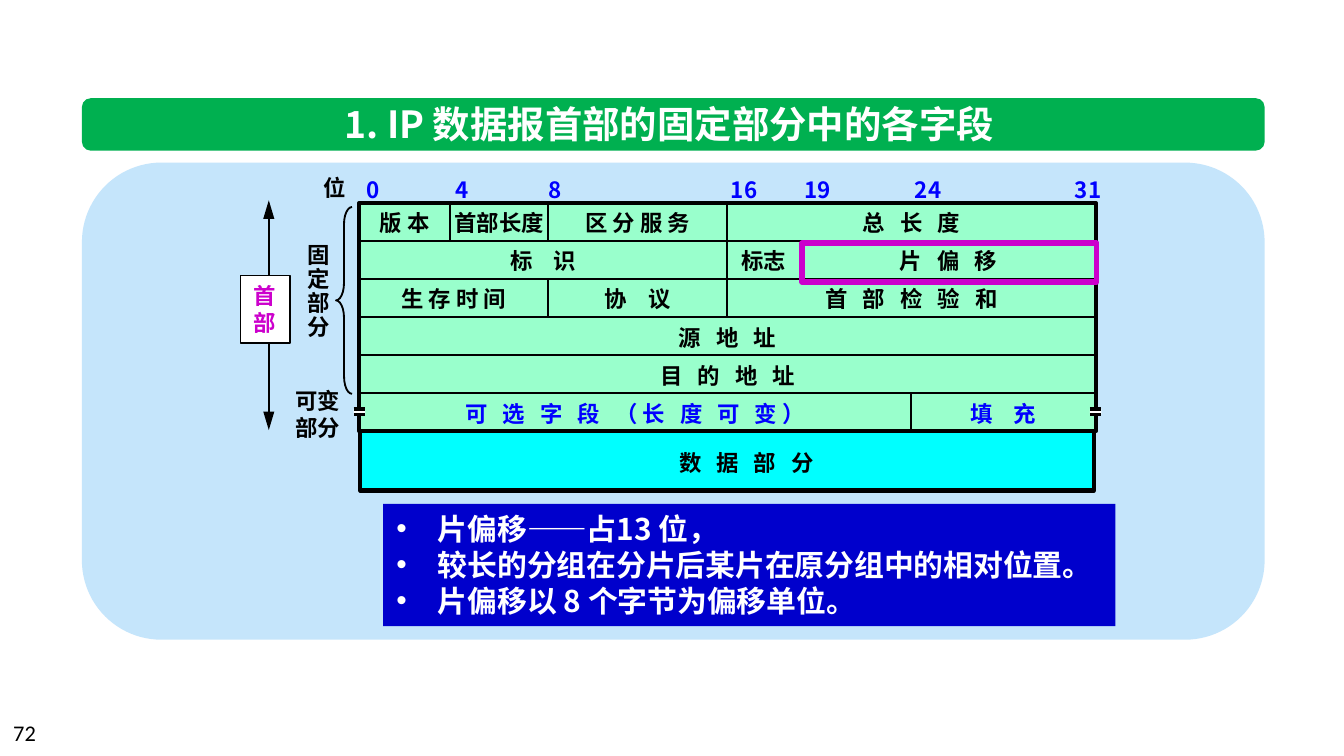
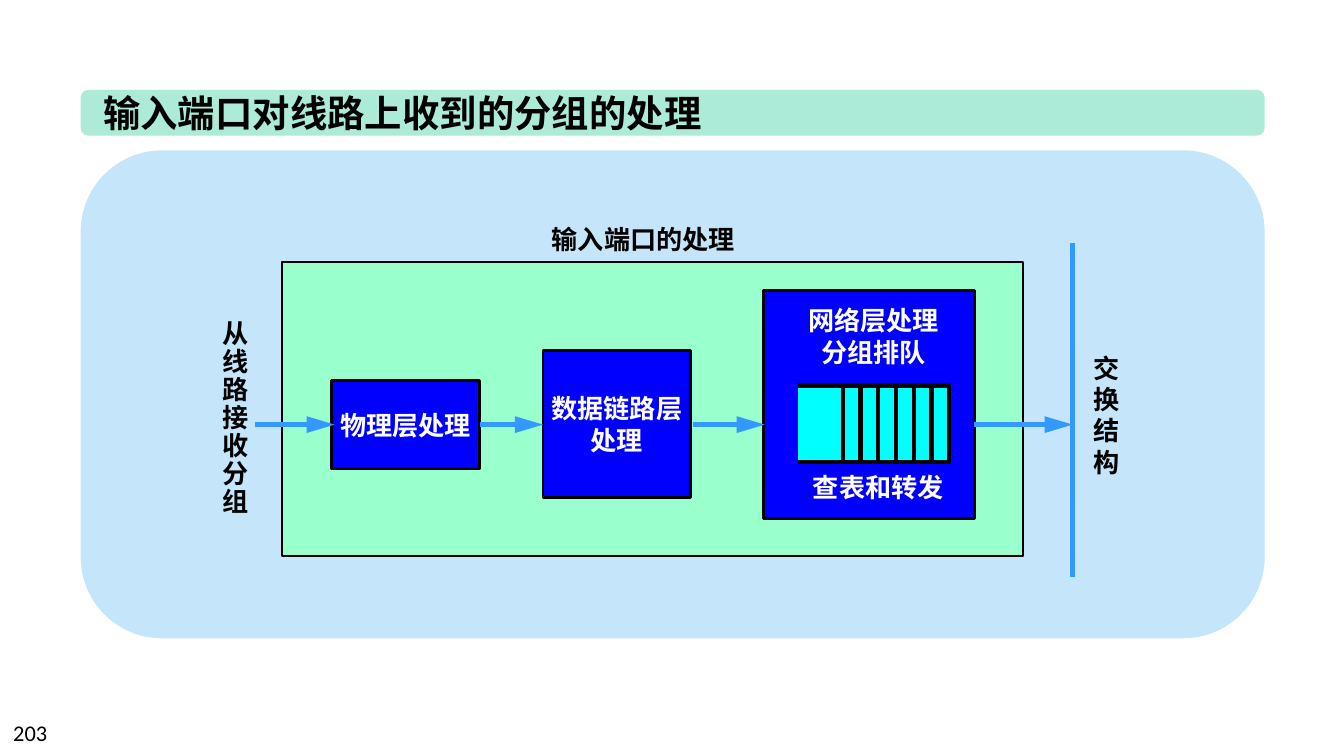
from dataclasses import dataclass

from lxml.etree import SubElement
from pptx import Presentation
from pptx.dml.color import RGBColor as RGB
from pptx.enum.shapes import MSO_CONNECTOR as Connector, MSO_SHAPE as Preset
from pptx.enum.text import MSO_ANCHOR as Anchor, MSO_AUTO_SIZE as AutoSize, PP_ALIGN as Align
from pptx.oxml.ns import qn
from pptx.util import Pt


@dataclass(frozen=True)
class Theme:
    font: str = "Noto Sans CJK SC"
    number_font: str = "Calibri"
    black: str = "000000"
    white: str = "FFFFFF"
    title_green: str = "00B050"
    title_mint: str = "ABEBD7"
    panel: str = "C5E5FB"
    mint: str = "99FFCC"
    cyan: str = "00FFFF"
    blue: str = "0000FF"
    navy: str = "0000CC"
    magenta: str = "CC00CC"
    flow: str = "3399FF"
    title: int = 20
    note: int = 16
    step: int = 14
    field: int = 12
    leading: float = 1.2
    stacked: float = 1.07


THEME = Theme()


class Deck:
    def __init__(self, theme):
        self.theme = theme
        self.prs = Presentation()
        self.prs.slide_width, self.prs.slide_height = Pt(720), Pt(405)
        self.shapes = None

    def new_slide(self, number):
        self.shapes = self.prs.slides.add_slide(self.prs.slide_layouts[6]).shapes
        self.label(0, 381.6, 168, 21.6, str(number), bold=False,
                   font=self.theme.number_font)

    def paint(self, shape, fill, line, weight):
        shape.shadow.inherit = False
        if fill:
            shape.fill.solid()
            shape.fill.fore_color.rgb = RGB.from_string(fill)
        else:
            shape.fill.background()
        if line:
            shape.line.color.rgb = RGB.from_string(line)
            shape.line.width = Pt(weight)
        else:
            shape.line.fill.background()
        return shape

    def box(self, x, y, w, h, fill=None, line=None, weight=1, preset=Preset.RECTANGLE):
        shape = self.shapes.add_shape(preset, Pt(x), Pt(y), Pt(w), Pt(h))
        return self.paint(shape, fill, line, weight)

    def panel(self, x, y, w, h, fill):
        return self.box(x, y, w, h, fill, preset=Preset.ROUNDED_RECTANGLE)

    def open_box(self, x, y, w, h, fill, line, weight):
        """Filled box without an outline on its left side."""
        outline = self.shapes.build_freeform(Pt(x), Pt(y))
        corners = [(x + w, y), (x + w, y + h), (x, y + h)]
        outline.add_line_segments([(Pt(a), Pt(b)) for a, b in corners], close=False)
        return self.paint(outline.convert_to_shape(), fill, line, weight)

    def line(self, x1, y1, x2, y2, color=THEME.black, weight=1, heads=()):
        """heads: any of "headEnd" and "tailEnd", in that order."""
        link = self.shapes.add_connector(Connector.STRAIGHT, Pt(x1), Pt(y1), Pt(x2), Pt(y2))
        link.line.color.rgb = RGB.from_string(color)
        link.line.width = Pt(weight)
        properties = link._element.spPr
        for head in heads:
            SubElement(properties.get_or_add_ln(), qn(f"a:{head}"),
                       type="triangle", w="med", len="lg")
        SubElement(properties, qn("a:effectLst"))

    def label(self, x, y, w, h, text, **style):
        holder = self.shapes.add_textbox(Pt(x), Pt(y), Pt(w), Pt(h))
        self.set_text(holder, text, **style)

    def set_text(self, shape, text, size=THEME.field, color=THEME.black, align=Align.LEFT,
                 anchor=Anchor.TOP, bold=True, font=THEME.font, leading=THEME.leading,
                 tracking=0, bullet=False):
        frame = shape.text_frame
        frame.word_wrap = False
        frame.auto_size = AutoSize.NONE
        frame.vertical_anchor = anchor
        frame.text = text
        for paragraph in frame.paragraphs:
            paragraph.alignment = align
            paragraph.line_spacing = Pt(round(size * leading, 1))
            props = paragraph._p.get_or_add_pPr()
            if bullet:
                props.set("marL", str(Pt(22.3)))
                props.set("indent", str(-Pt(22.3)))
                SubElement(props, qn("a:buFont"), typeface="Arial")
                SubElement(props, qn("a:buChar"), char="•")
            style = paragraph.font
            style.size, style.bold, style.name = Pt(size), bold, font
            style.color.rgb = RGB.from_string(color)
            SubElement(props.find(qn("a:defRPr")), qn("a:ea"), typeface=font)
            if tracking:
                for run in paragraph.runs:
                    run._r.get_or_add_rPr().set("spc", str(round(tracking * 100)))


def text_width(text, tracking):
    """Estimated width of a field name with the side insets of its box."""
    glyphs = sum(3 if char == " " else THEME.field for char in text)
    return glyphs + tracking * len(text) + 14.4


def header_fields_slide(deck):
    t = deck.theme
    deck.new_slide(72)
    deck.panel(43.9, 52.6, 633.6, 28.1, t.title_green)
    deck.label(170.6, 50.5, 376, 31.7, "1. IP 数据报首部的固定部分中的各字段",
               size=t.title, color=t.white, align=Align.CENTER)
    deck.panel(43.9, 87.1, 633.6, 255.6, t.panel)

    top, row_height, rows = 108.7, 20.4, 6
    bottom = top + row_height * rows
    # bit number: (left edge of the field, left of the bit label)
    bits = {0: (192.5, 189.4), 4: (241.2, 236.9), 8: (293.8, 286.6), 16: (389.5, 384.5),
            19: (429.1, 424.1), 24: (488.2, 483.1), 31: (587.2, 568.8)}
    edges = {bit: edge for bit, (edge, _) in bits.items()}
    left, right = edges[0], edges[31]
    deck.box(left, top, right - left, bottom - top, t.mint, t.black, 2)
    deck.box(193, bottom, 393.1, 31.7, t.cyan, t.black, 2.25)
    for row in range(1, rows):
        deck.line(left, top + row * row_height, right, top + row * row_height)

    for bit, (_, label_left) in bits.items():
        deck.label(label_left, 90.7, 14.4 + 7.2 * len(str(bit)), 21.6, str(bit), color=t.blue)
    deck.label(166.3, 90, 26.6, 21.6, "位")

    edges["padding"] = 488.2
    wide, wider = 2.7, 4.2
    fields = [
        (0, 0, 4, "版 本", 0), (0, 4, 8, "首部长度", 0),
        (0, 8, 16, "区 分 服 务", 0), (0, 16, 31, "总 长 度", wide),
        (1, 0, 16, "标 识", wider), (1, 16, 19, "标志", 0), (1, 19, 31, "片 偏 移", wide),
        (2, 0, 8, "生 存 时 间", 0), (2, 8, 16, "协 议", wider),
        (2, 16, 31, "首 部 检 验 和", wide),
        (3, 0, 31, "源 地 址", wide), (4, 0, 31, "目 的 地 址", wide),
        (5, 0, "padding", "可 选 字 段 （长 度 可 变）", wide),
        (5, "padding", 31, "填 充", wider),
    ]
    for row, start, end, name, tracking in fields:
        y = top + row * row_height
        if start != 0:
            deck.line(edges[start], y, edges[start], y + row_height)
        width = text_width(name, tracking)
        center = (edges[start] + edges[end]) / 2
        deck.label(center - width / 2, y, width, 21.6, name, tracking=tracking,
                   color=t.blue if row == 5 else t.black, align=Align.CENTER)
    deck.label(326.9, 236.9, 146.2, 21.6, "数 据 部 分", tracking=wide, align=Align.CENTER)

    for x in (189.4, 583.9):
        deck.box(x, 219.2, 6.2, 2.9, t.white)
        for y in (219.2, 222.1):
            deck.line(x, y, x + 6.2, y, weight=2)

    deck.label(157.7, 127.4, 26.6, 59.8, "固\n定\n部\n分", leading=t.stacked)
    deck.label(151.2, 203.8, 38.9, 36, "可变\n部分")
    brace = deck.box(180, 110.9, 8.6, 100.1, line=t.black, preset=Preset.LEFT_BRACE)
    brace.adjustments[0] = 1.08
    deck.line(144, 107.3, 144, 230.4, heads=("headEnd", "tailEnd"))
    whole_header = deck.box(128.9, 147.6, 26.6, 36, t.white, t.black)
    deck.set_text(whole_header, "首\n部", color=t.magenta)

    notes = deck.box(205.2, 270, 392.4, 65.5, t.navy)
    deck.set_text(notes, "片偏移——占13 位，\n较长的分组在分片后某片在原分组中的相对位置。\n"
                  "片偏移以 8 个字节为偏移单位。", size=t.note, color=t.white, bullet=True)
    deck.box(429.8, 130.3, 157.7, 20.9, line=t.magenta, weight=3)


def input_port_slide(deck):
    t = deck.theme
    deck.new_slide(203)
    deck.panel(43.2, 80.6, 634.3, 261.4, t.panel)
    deck.panel(43.2, 48.2, 634.3, 24.5, t.title_mint)
    deck.label(48.2, 44.6, 343.4, 31.7, "输入端口对线路上收到的分组的处理", size=t.title)

    deck.box(151.2, 140.4, 396.7, 157.7, t.mint, t.black)
    steps = [(177.8, 203.8, 79.2, 47.5, "物理层处理"),
             (290.9, 187.9, 79.2, 78.5, "数据链路层\n处理"),
             (409, 155.5, 113, 122.4, "")]
    for x, y, w, h, name in steps:
        step = deck.box(x, y, w, h, t.blue, t.black, 1.5)
        if name:
            deck.set_text(step, name, size=t.step, color=t.white,
                          align=Align.CENTER, anchor=Anchor.MIDDLE)

    flow_y, fabric_x = 227.5, 574.6
    for start, end in [(136.8, 179.3), (257, 290.9), (371.5, 409.7), (522, fabric_x)]:
        deck.line(start, flow_y, end, flow_y, t.flow, 3, heads=("tailEnd",))
    deck.line(fabric_x, 130.3, fabric_x, 308.9, t.flow, 3)

    queue_top, queue_height = 206.6, 41
    deck.open_box(427.7, queue_top, 80.6, queue_height, t.cyan, t.black, 2.25)
    for packet in range(6):
        x = 451.5 + 9.5 * packet
        deck.line(x, queue_top, x, queue_top + queue_height, weight=2.25)

    deck.label(425.5, 159.8, 85, 41, "网络层处理\n分组排队", size=t.step,
               color=t.white, align=Align.CENTER)
    deck.label(428.4, 249.1, 85, 24.5, "查表和转发", size=t.step, color=t.white)
    deck.label(288.5, 115.9, 112.6, 24.5, "输入端口的处理", size=t.step)
    deck.label(112.3, 168.5, 28.8, 114.5, "从\n线\n路\n接\n收\n分\n组", size=t.step,
               leading=t.stacked)
    deck.label(578.9, 185, 28.8, 74.9, "交\n换\n结\n构", size=t.step)


def main():
    deck = Deck(THEME)
    header_fields_slide(deck)
    input_port_slide(deck)
    deck.prs.save("out.pptx")


if __name__ == "__main__":
    main()
